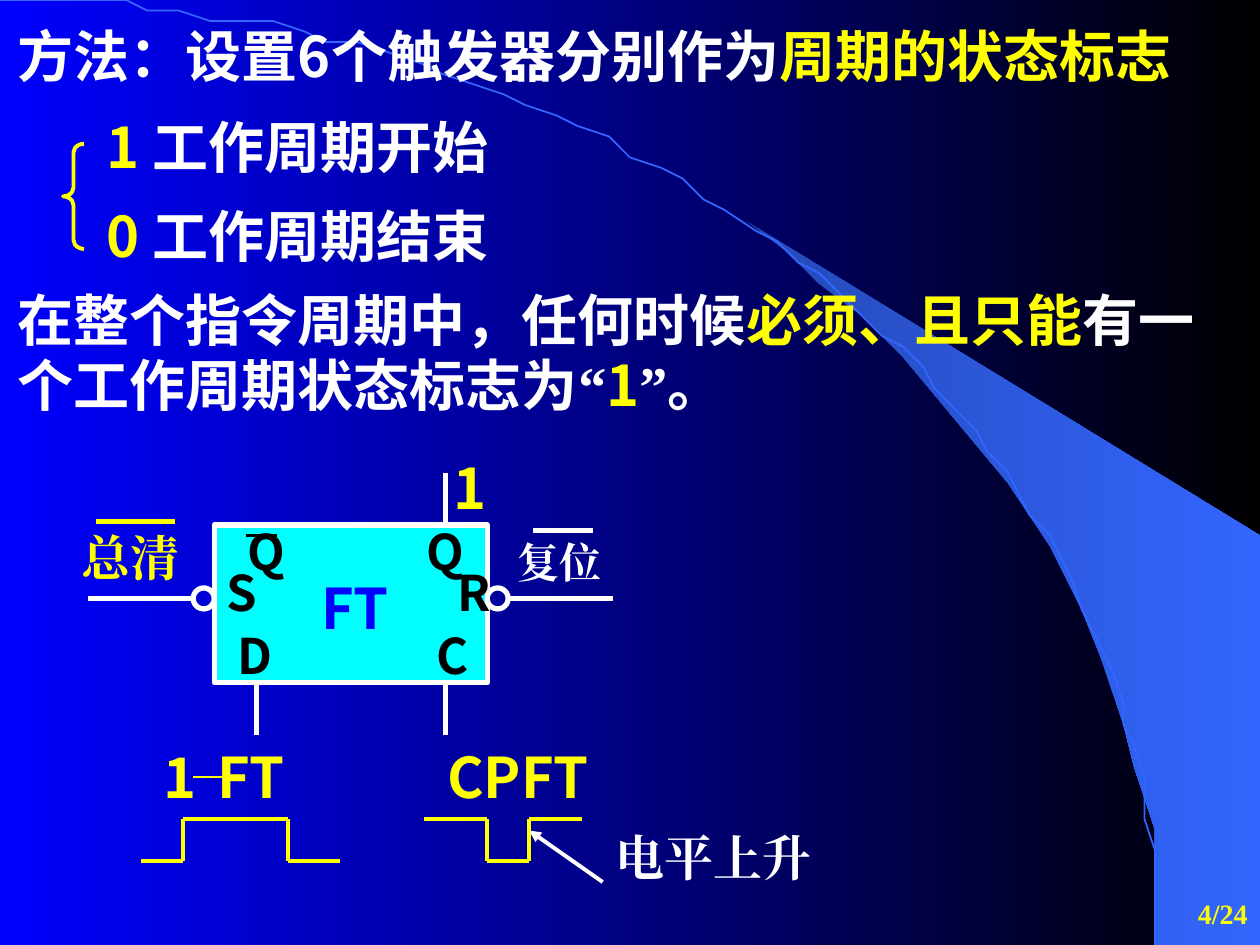
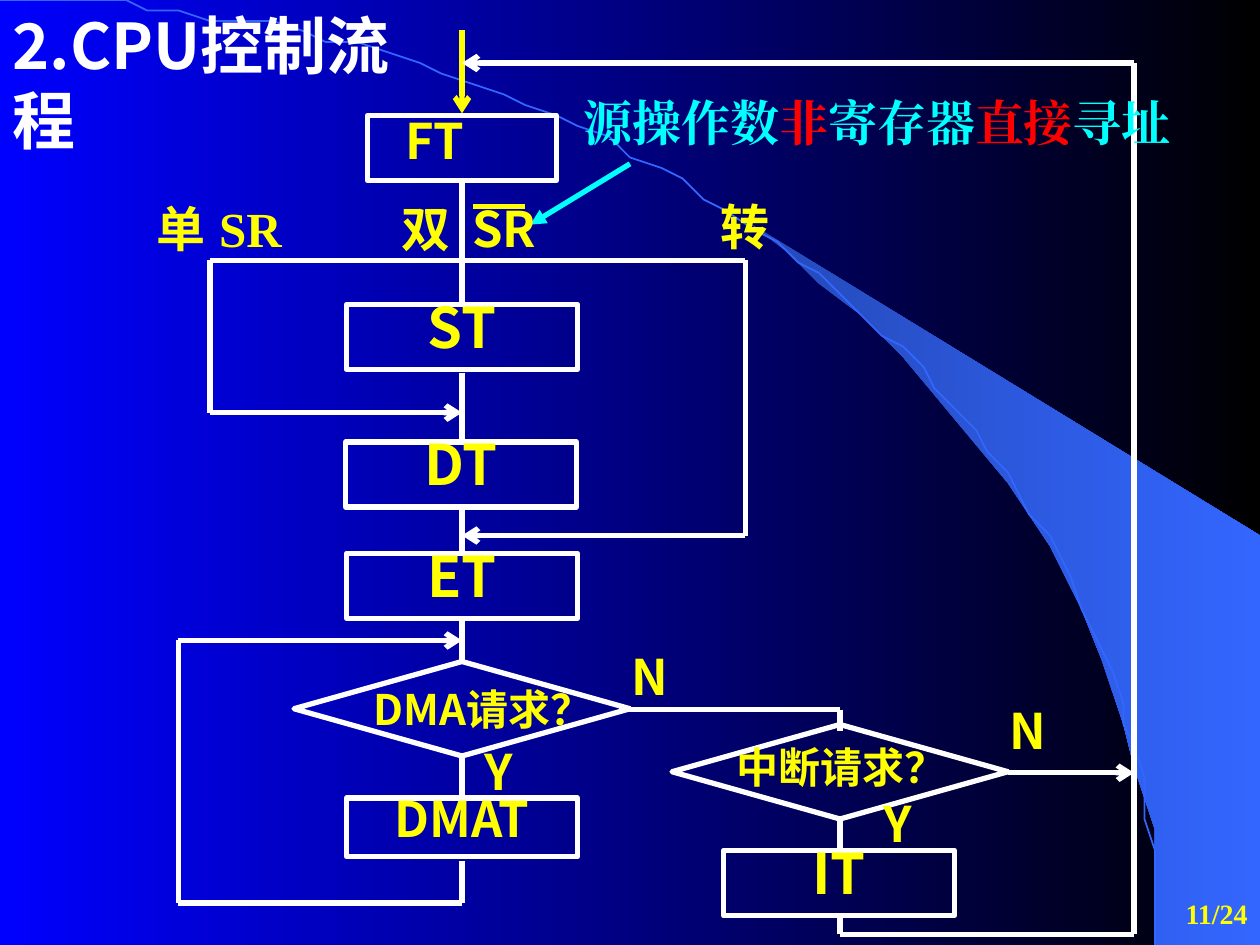
import math
from itertools import pairwise
from typing import NamedTuple, Optional

from lxml import etree
from pptx import Presentation
from pptx import util as u
from pptx.dml.color import RGBColor
from pptx.enum import shapes, text
from pptx.oxml import ns
from pptx.slide import Slide

COLUMNS, ROWS = 120, 90
CELL = u.Inches(10) // COLUMNS

BLUE = RGBColor(0x00, 0x00, 0xFF)
BLACK = RGBColor(0x00, 0x00, 0x00)
WHITE = RGBColor(0xFF, 0xFF, 0xFF)
YELLOW = RGBColor(0xFF, 0xFF, 0x00)
CYAN = RGBColor(0x00, 0xFF, 0xFF)
RED = RGBColor(0xFF, 0x00, 0x00)
ARC_BLUE = RGBColor(0x33, 0x66, 0xFF)
BEAM_BLUE = RGBColor(0x24, 0x49, 0xB6)

SANS = "Noto Sans CJK SC"
SERIF = "Times New Roman"
CENTER = text.PP_ALIGN.CENTER
RECTANGLE = shapes.MSO_SHAPE.RECTANGLE
DECISION = shapes.MSO_SHAPE.FLOWCHART_DECISION

BEAM_OUTLINE = [
    (110.4, 89.8), (119.9, 89.9), (119.9, 50.8), (70.7, 20.8), (74.9, 23.9),
    (78.4, 26.6), (82.2, 30), (85.9, 33.6), (91.4, 39.6), (96.4, 46.1),
    (99.8, 51.7), (103, 57.5), (105.4, 63.4), (107.2, 68.6), (108.4, 73.1),
    (109.6, 78.7), (110, 83.5),
]
ARC_RADII = (110.4, 89.9)
ARC_STEPS = 60


class Box(NamedTuple):
    col: float
    row: float
    cols: float
    rows: float


class Span(NamedTuple):
    words: str
    color: RGBColor
    font: Optional[str] = None


class Label(NamedTuple):
    words: str
    col: float
    row: float
    color: RGBColor = YELLOW
    font: str = SANS


class Stage(NamedTuple):
    words: str
    box: Box
    size: float = 32
    indent: float = 0
    drop: float = 0
    align: Optional[text.PP_ALIGN] = CENTER


class Wire(NamedTuple):
    points: list[tuple[float, float]]
    color: RGBColor = WHITE
    width: float = 3
    arrow: Optional[str] = None


def cells(count: float) -> u.Emu:
    return u.Emu(round(count * CELL))


def place(box: Box) -> list[u.Emu]:
    return [cells(length) for length in box]


def sub(parent, tag: str, **attributes: str):
    return etree.SubElement(parent, ns.qn(tag), attributes)


def shade(fill, start: RGBColor, end: RGBColor) -> None:
    fill.gradient()
    fill.gradient_angle = 0
    for stop, tint in zip(fill.gradient_stops, (start, end)):
        stop.color.rgb = tint


def write(frame, lines, *, size: float = 32, color: RGBColor = YELLOW,
          font: str = SANS, align=None, spacing=(), before: float = 0,
          wrap: bool = True, anchor=text.MSO_ANCHOR.TOP, indent: float = 0,
          tab: float = 0, drop: float = 0) -> None:
    if isinstance(lines, str):
        lines = [[Span(lines, color)]]
    frame.word_wrap = wrap
    frame.vertical_anchor = anchor
    frame.margin_top = u.Inches(0.05) + cells(drop)
    for index, spans in enumerate(lines):
        paragraph = frame.add_paragraph() if index else frame.paragraphs[0]
        paragraph.alignment = align or text.PP_ALIGN.LEFT
        if spacing:
            paragraph.line_spacing = spacing[index]
        if index:
            paragraph.space_before = u.Pt(before)
        properties = paragraph._p.get_or_add_pPr()
        if indent:
            properties.set("marL", str(cells(indent)))
        if tab:
            sub(sub(properties, "a:tabLst"), "a:tab", pos=str(cells(tab)), algn="l")
        for span in spans:
            run = paragraph.add_run()
            run.text = span.words
            run.font.size = u.Pt(size)
            run.font.bold = True
            run.font.color.rgb = span.color
            run.font.name = span.font or font
            sub(run._r.get_or_add_rPr(), "a:ea", typeface=span.font or font)


def label(slide: Slide, box: Box, lines, **style) -> None:
    write(slide.shapes.add_textbox(*place(box)).text_frame, lines, **style)


def outline(slide: Slide, kind, box: Box, line: RGBColor = WHITE,
            width: float = 3, fill: Optional[RGBColor] = None):
    figure = slide.shapes.add_shape(kind, *place(box))
    figure.shadow.inherit = False
    figure.line.color.rgb = line
    figure.line.width = u.Pt(width)
    if fill is None:
        figure.fill.background()
    else:
        figure.fill.solid()
        figure.fill.fore_color.rgb = fill
    return figure


def draw_wire(slide: Slide, wire: Wire) -> None:
    for start, end in pairwise(wire.points):
        segment = slide.shapes.add_connector(
            shapes.MSO_CONNECTOR.STRAIGHT, *map(cells, (*start, *end)))
        segment.line.color.rgb = wire.color
        segment.line.width = u.Pt(wire.width)
        properties = segment.element.spPr
        if wire.arrow and end == wire.points[-1]:
            sub(properties.find(ns.qn("a:ln")), "a:tailEnd", type=wire.arrow)
        sub(properties, "a:effectLst")


def trace(slide: Slide, points: list[tuple[float, float]], close: bool):
    first, *rest = points
    builder = slide.shapes.build_freeform(*first, scale=CELL)
    builder.add_line_segments(rest, close=close)
    figure = builder.convert_to_shape()
    figure.shadow.inherit = False
    return figure


def start_slide(deck, page: str) -> Slide:
    slide = deck.slides.add_slide(deck.slide_layouts[6])
    beam = trace(slide, BEAM_OUTLINE, True)
    shade(beam.fill, BEAM_BLUE, ARC_BLUE)
    beam.line.fill.background()
    width, height = ARC_RADII
    angles = [math.pi / 2 * step / ARC_STEPS for step in range(ARC_STEPS + 1)]
    arc = trace(slide, [(width * math.sin(a), height * (1 - math.cos(a)))
                        for a in angles], False)
    arc.fill.background()
    arc.line.color.rgb = ARC_BLUE
    arc.line.width = u.Pt(1)
    label(slide, Box(95, 84, 25, 6), page, size=16, font=SERIF,
          align=text.PP_ALIGN.RIGHT, anchor=text.MSO_ANCHOR.MIDDLE)
    return slide


def build_flag_slide(deck) -> None:
    slide = start_slide(deck, "4/24")
    label(slide, Box(0.5, 1.5, 120, 7.5),
          [[Span("方法：设置6个触发器分别作为", WHITE), Span("周期的状态标志", YELLOW)]])
    brace = outline(slide, shapes.MSO_SHAPE.LEFT_BRACE, Box(6, 13.7, 2, 10), YELLOW, 2.25)
    brace.adjustments[0] = 0.416
    for row, value, meaning in ((10.1, "1 ", "工作周期开始"), (18.6, "0 ", "工作周期结束")):
        label(slide, Box(9, row, 50, 7.5), [[Span(value, YELLOW), Span(meaning, WHITE)]])
    label(slide, Box(0.5, 28.9, 119.5, 13.3), [
        [Span("在整个指令周期中，任何时候", WHITE), Span("必须、且只能", YELLOW),
         Span("有一", WHITE)],
        [Span("个工作周期状态标志为", WHITE), Span("“", WHITE, SERIF), Span("1", YELLOW),
         Span("”", WHITE, SERIF), Span("。", WHITE)],
    ], spacing=(0.6, 0.8), before=8)

    outline(slide, RECTANGLE, Box(20.4, 50, 26, 15), fill=CYAN)
    label(slide, Box(29.4, 54, 14, 7.5), "FT", color=BLUE)
    for pin in (Label("S", 20.4, 53), Label("R", 42.4, 53), Label("D", 21.4, 59),
                Label("C", 40.4, 59), Label("Q", 39.4, 49.1), Label("Q", 22.4, 49.1)):
        label(slide, Box(pin.col, pin.row, 12, 6.8), pin.words, size=28, color=BLACK)
    for col in (18.4, 46.4):
        outline(slide, shapes.MSO_SHAPE.OVAL, Box(col, 56, 2, 2))

    label(slide, Box(6.6, 49.6, 12.2, 6.8), "总清", size=28, font=SERIF)
    label(slide, Box(48.1, 50.5, 10.4, 6), "复位", size=24, font=SERIF, color=WHITE, wrap=False)
    label(slide, Box(41.5, 42.6, 6.6, 7.5), "1", align=CENTER)
    label(slide, Box(14.4, 70.1, 20, 7.5), "1\tFT", tab=5.1)
    label(slide, Box(41.4, 70.1, 20, 7.5), "CPFT")
    label(slide, Box(56.6, 78.2, 22.7, 6.8), "电平上升", size=28, font=SERIF,
          color=WHITE, align=CENTER)

    high, low = 78, 82
    for wire in (
        Wire([(23.4, 51), (26.4, 51)], BLACK, 1.5),
        Wire([(42.4, 45), (42.4, 50)]),
        Wire([(24.4, 65), (24.4, 70)]),
        Wire([(42.4, 65), (42.4, 70)]),
        Wire([(48.4, 57), (58.4, 57)]),
        Wire([(8.4, 57), (18.4, 57)]),
        Wire([(9.1, 49.7), (16.7, 49.7)], YELLOW),
        Wire([(50.8, 50.5), (56.5, 50.5)]),
        Wire([(18.4, 74), (22.4, 74)], YELLOW, 1, "triangle"),
        Wire([(13.4, low), (17.4, low), (17.4, high), (27.4, high), (27.4, low),
              (32.4, low)], YELLOW, 2.25),
        Wire([(40.4, high), (46.4, high), (46.4, low), (50.4, low), (50.4, high),
              (55.4, high)], YELLOW, 2.25),
        Wire([(57.4, 84), (50.4, 79.1)], WHITE, 2.25, "triangle"),
    ):
        draw_wire(slide, wire)


def build_flow_slide(deck) -> None:
    slide = start_slide(deck, "11/24")
    label(slide, Box(0, 0, 44, 8.4), "2.CPU控制流程", size=36, color=WHITE)

    trunk, branch, bus = 44, 80, 108
    for wire in (
        Wire([(trunk, 2.9), (trunk, 10.8)], YELLOW, 3, "arrow"),
        Wire([(trunk, 17.2), (trunk, 29)]),
        Wire([(trunk, 35.5), (trunk, 42.1)]),
        Wire([(trunk, 48.5), (trunk, 52.6)]),
        Wire([(trunk, 59), (trunk, 63)]),
        Wire([(trunk, 72), (trunk, 76)]),
        Wire([(trunk, 24.8), (20, 24.8), (20, 39.3), (trunk, 39.3)], arrow="arrow"),
        Wire([(trunk, 24.8), (71, 24.8), (71, 51), (trunk, 51)], arrow="arrow"),
        Wire([(trunk, 82), (trunk, 86), (17, 86), (17, 61), (trunk, 61)], arrow="arrow"),
        Wire([(59, 67.6), (branch, 67.6), (branch, 69.6)]),
        Wire([(branch, 78), (branch, 81)]),
        Wire([(branch, 87), (branch, 89), (bus, 89), (bus, 6), (trunk, 6)], arrow="arrow"),
        Wire([(96, 73.6), (bus, 73.6)], arrow="arrow"),
        Wire([(45, 19.7), (50, 19.7)], YELLOW),
        Wire([(60, 15.6), (50.5, 21.4)], CYAN, 3, "triangle"),
    ):
        draw_wire(slide, wire)

    for stage in (
        Stage("FT", Box(35, 11, 18, 6.2), 28, indent=2.4, drop=0.5, align=None),
        Stage("ST", Box(33, 29, 22, 6.2)),
        Stage("DT", Box(32.9, 42.1, 22, 6.2)),
        Stage("ET", Box(33, 52.7, 22, 6.2)),
        Stage("DMAT", Box(33, 76, 22, 5.6), 28),
        Stage("IT", Box(68.9, 81, 22, 6.2)),
    ):
        write(outline(slide, RECTANGLE, stage.box).text_frame, stage.words,
              size=stage.size, align=stage.align, spacing=(0.7,),
              indent=stage.indent, drop=stage.drop)

    for col, row in ((28, 63), (64, 69)):
        outline(slide, DECISION, Box(col, row, 32, 9))
    label(slide, Box(33, 64.5, 26, 6), "DMA请求？", size=24, align=CENTER)
    label(slide, Box(69, 70, 26, 6), "中断请求？", size=24)

    for mark in (
        Label("单", 13.7, 18.3), Label("SR", 19.7, 18.3, font=SERIF),
        Label("双", 37.1, 18.3), Label("SR", 43.8, 18.3), Label("转", 67.4, 18.1),
        Label("Y", 45, 70), Label("N", 59, 61), Label("Y", 83, 75), Label("N", 95, 66.1),
    ):
        label(slide, Box(mark.col, mark.row, 12, 6.8), mark.words, size=28, font=mark.font)
    label(slide, Box(54.4, 8.2, 58.7, 6.8), [[
        Span("源操作数", CYAN), Span("非", RED), Span("寄存器", CYAN),
        Span("直接", RED), Span("寻址", CYAN),
    ]], size=28, font=SERIF, wrap=False)


def main() -> None:
    deck = Presentation()
    deck.slide_width, deck.slide_height = cells(COLUMNS), cells(ROWS)
    shade(deck.slide_master.background.fill, BLUE, BLACK)
    build_flag_slide(deck)
    build_flow_slide(deck)
    deck.save("out.pptx")


if __name__ == "__main__":
    main()
